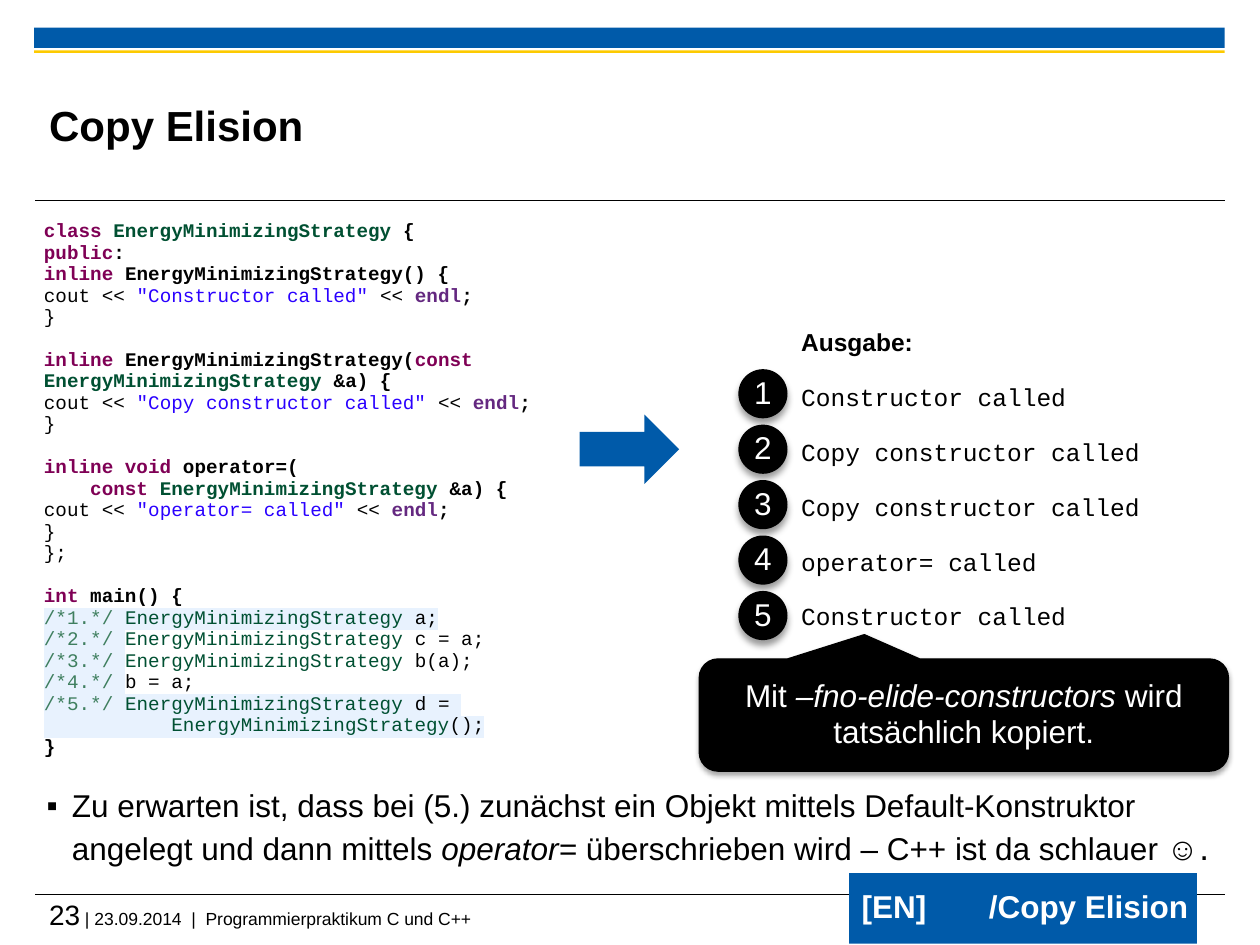
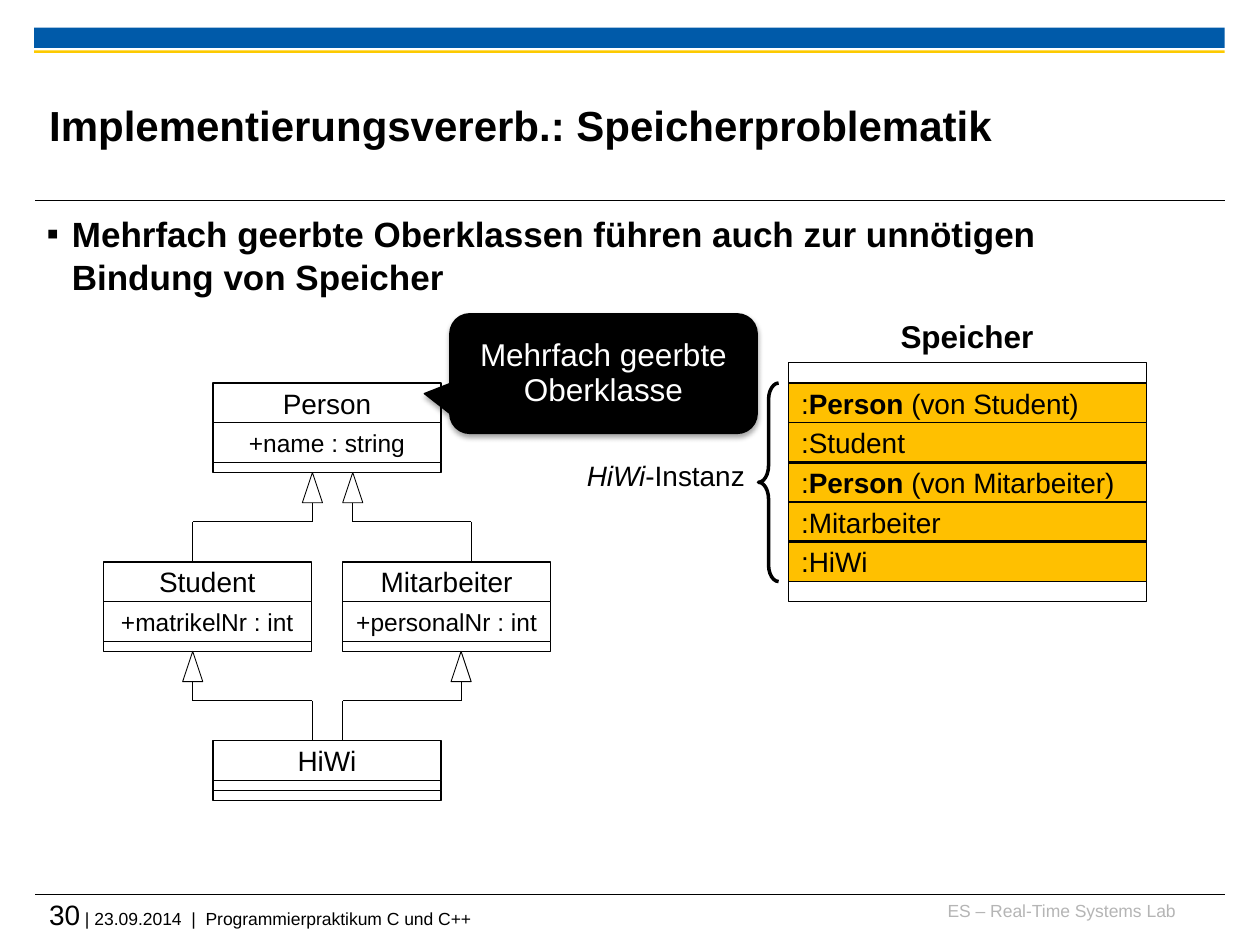
import pptx
import pptx.util
import pptx.dml.color
import pptx.enum.shapes
import pptx.enum.text
import pptx.oxml.ns
from lxml import etree

Inches = pptx.util.Inches
Pt = pptx.util.Pt
SHAPE = pptx.enum.shapes.MSO_SHAPE
ALIGN = pptx.enum.text.PP_ALIGN
ANCHOR = pptx.enum.text.MSO_ANCHOR
qn = pptx.oxml.ns.qn

BLUE, YELLOW, AMBER = "005AA9", "FDCA00", "FFC000"
BLACK, WHITE, GREY = "000000", "FFFFFF", "B5B5B5"
CODE_MARK = "E8F2FE"
TIGHT = 0.93
CLASS_NAME = "EnergyMinimizingStrategy"
ROW = 0.315
THIN_ROW = 0.08

BOLD = {"bold": True}
ITALIC = {"italic": True}
KEYWORD = {"color": "7F0055", "bold": True}
TYPE = {"color": "005032"}
TYPE_BOLD = {**TYPE, **BOLD}
STRING = {"color": "2A00FF"}
ENDL = {"color": "642880", "bold": True}
MARKED = {"highlight": CODE_MARK}
TYPE_MARKED = {**TYPE, **MARKED}
COMMENT = {"color": "3F7F5F", **MARKED}


def rgb(color):
    """Turn a hex string into a colour."""
    return pptx.dml.color.RGBColor.from_string(color)


def format_run(run, size, font="Arial", color=BLACK, bold=False, italic=False, highlight=None):
    """Format one run."""
    run.font.size = Pt(size)
    run.font.name = font
    run.font.bold = bold
    run.font.italic = italic
    run.font.color.rgb = rgb(color)
    if highlight:
        fill = run.font.fill._xPr.find(qn("a:solidFill"))
        mark = etree.Element(qn("a:highlight"))
        etree.SubElement(mark, qn("a:srgbClr"), val=highlight)
        fill.addnext(mark)


def write(paragraph, segments, align=ALIGN.LEFT, spacing=1.0, before=0, **style):
    """Write a string or (text, style) segments into a paragraph."""
    paragraph.alignment = align
    paragraph.line_spacing = spacing
    paragraph.space_before = Pt(before)
    if isinstance(segments, str):
        segments = [(segments, {})]
    for text, own_style in segments:
        run = paragraph.add_run()
        run.text = text
        format_run(run, **{**style, **own_style})


def set_insets(frame, size=0):
    """Give a text frame equal insets."""
    frame.margin_left = frame.margin_right = Inches(size)
    frame.margin_top = frame.margin_bottom = Inches(size)


def add_label(slide, box, segments, wrap=True, **style):
    """Add a text box with one paragraph."""
    shape = slide.shapes.add_textbox(*map(Inches, box))
    shape.text_frame.word_wrap = wrap
    write(shape.text_frame.paragraphs[0], segments, **style)
    return shape


def add_box(slide, kind, box, fill=WHITE, line=BLACK, width=0.75):
    """Add a preset shape without a shadow."""
    shape = slide.shapes.add_shape(kind, *map(Inches, box))
    shape.shadow.inherit = False
    if fill:
        shape.fill.solid()
        shape.fill.fore_color.rgb = rgb(fill)
    else:
        shape.fill.background()
    if line:
        shape.line.color.rgb = rgb(line)
        shape.line.width = Pt(width)
    else:
        shape.line.fill.background()
    return shape


def add_text_box(slide, kind, box, segments, fill=WHITE, line=BLACK, wrap=False, **style):
    """Add a preset shape with a vertically centred paragraph."""
    shape = add_box(slide, kind, box, fill, line)
    shape.text_frame.word_wrap = wrap
    shape.text_frame.vertical_anchor = ANCHOR.MIDDLE
    write(shape.text_frame.paragraphs[0], segments, **style)
    return shape


def add_line(slide, x1, y1, x2, y2, width=0.75):
    """Add a straight black line."""
    connector = slide.shapes.add_connector(
        pptx.enum.shapes.MSO_CONNECTOR.STRAIGHT, *map(Inches, (x1, y1, x2, y2)))
    connector.line.color.rgb = rgb(BLACK)
    connector.line.width = Pt(width)
    etree.SubElement(connector._element.spPr, qn("a:effectLst"))


def add_shadow(shape, alpha, blur, distance):
    """Drop a soft black shadow below a shape."""
    effects = shape._element.spPr.find(qn("a:effectLst"))
    shadow = etree.SubElement(effects, qn("a:outerShdw"), blurRad=str(Pt(blur)),
                              dist=str(Pt(distance)), dir="5400000", rotWithShape="0")
    color = etree.SubElement(shadow, qn("a:srgbClr"), val=BLACK)
    etree.SubElement(color, qn("a:alpha"), val=str(alpha * 1000))


def add_callout(slide, box, pointer, segments):
    """Add a black speech bubble with its pointer at the given offset."""
    shape = add_text_box(slide, SHAPE.ROUNDED_RECTANGULAR_CALLOUT, box, segments, BLACK,
                         wrap=True, align=ALIGN.CENTER, spacing=TIGHT, size=18, color=WHITE)
    for index, value in enumerate((*pointer, 0.167)):
        shape.adjustments[index] = value
    add_shadow(shape, 35, 3.1, 1.8)


def place(shape, box):
    """Move a placeholder to a box."""
    shape.left, shape.top, shape.width, shape.height = map(Inches, box)


def add_base_slide(presentation, title, number):
    """Add a slide with bands, rules, title and footer."""
    slide = presentation.slides.add_slide(presentation.slide_layouts[1])
    add_box(slide, SHAPE.RECTANGLE, (0.27, 0.22, 9.45, 0.16), BLUE, None)
    add_box(slide, SHAPE.RECTANGLE, (0.27, 0.4, 9.45, 0.02), YELLOW, None)
    for y in (1.59, 7.1):
        add_line(slide, 0.28, y, 9.72, y, 0.6)
    footer = add_label(slide, (0.39, 7.12, 9.33, 0.33),
                       [(number, {"size": 16}),
                        (" | 23.09.2014  |  Programmierpraktikum C und C++", {})], size=10)
    set_insets(footer.text_frame)
    heading = slide.shapes.title
    place(heading, (0.39, 0.53, 7.52, 0.92))
    set_insets(heading.text_frame)
    heading.text_frame.auto_size = pptx.enum.text.MSO_AUTO_SIZE.NONE
    heading.text_frame.vertical_anchor = ANCHOR.MIDDLE
    write(heading.text_frame.paragraphs[0], title, size=24, bold=True)
    return slide


def fill_body(slide, box, segments, **style):
    """Fill the body placeholder with one bulleted paragraph."""
    body = slide.placeholders[1]
    place(body, box)
    body.text_frame.auto_size = pptx.enum.text.MSO_AUTO_SIZE.NONE
    paragraph = body.text_frame.paragraphs[0]
    write(paragraph, segments, spacing=1.04, before=4, **style)
    properties = paragraph._p.get_or_add_pPr()
    properties.set("marL", str(Inches(0.2)))
    properties.set("indent", str(-Inches(0.2)))
    etree.SubElement(properties, qn("a:buChar"), char="▪")


def print_line(message):
    """Return the code segments that print a message."""
    return [("cout << ", {}), (f'"{message}"', STRING), (" << ", {}), ("endl", ENDL), (";", BOLD)]


def add_code(slide, box):
    """Add the class listing, with a gap before each block."""
    blocks = [
        [[("class ", KEYWORD), (CLASS_NAME, TYPE_BOLD), (" {", BOLD)],
         [("public", KEYWORD), (":", BOLD)],
         [("inline ", KEYWORD), (CLASS_NAME + "() {", BOLD)],
         print_line("Constructor called"), "}"],
        [[("inline ", KEYWORD), (CLASS_NAME + "(", BOLD), ("const ", KEYWORD),
          (CLASS_NAME, TYPE_BOLD), (" &a) {", BOLD)],
         print_line("Copy constructor called"), "}"],
        [[("inline void", KEYWORD), (" operator=(", BOLD)],
         [("    const ", KEYWORD), (CLASS_NAME, TYPE_BOLD), (" &a) {", BOLD)],
         print_line("operator= called"), "}", "};"],
        [[("int", KEYWORD), (" main() {", BOLD)],
         [("/*1.*/ ", COMMENT), (CLASS_NAME, TYPE_MARKED), (" a;", MARKED)],
         [("/*2.*/ ", COMMENT), (CLASS_NAME + " ", TYPE), ("c = a;", {})],
         [("/*3.*/ ", COMMENT), (CLASS_NAME + " ", TYPE), ("b(a);", {})],
         [("/*4.*/ ", COMMENT), ("b = a;", {})],
         [("/*5.*/ ", COMMENT), (CLASS_NAME, TYPE_MARKED), (" d = ", MARKED)],
         [("           ", MARKED), (CLASS_NAME, TYPE_MARKED), ("();", MARKED)],
         [("}", BOLD)]],
    ]
    frame = slide.shapes.add_textbox(*map(Inches, box)).text_frame
    frame.word_wrap = True
    for block_index, block in enumerate(blocks):
        for line_index, line in enumerate(block):
            first = line_index == 0
            paragraph = frame.add_paragraph() if block_index or line_index else frame.paragraphs[0]
            write(paragraph, line, spacing=TIGHT, before=12.3 if first and block_index else 0,
                  size=11, font="Courier New")


def add_output(slide, left, top):
    """Add the program output with numbered discs beside it."""
    frame = slide.shapes.add_textbox(*map(Inches, (left + 0.4, top, 3.31, 2.51))).text_frame
    frame.word_wrap = True
    write(frame.paragraphs[0], "Ausgabe:", spacing=TIGHT, size=14, bold=True)
    messages = ["Constructor called", "Copy constructor called", "Copy constructor called",
                "operator= called", "Constructor called"]
    for index, message in enumerate(messages):
        write(frame.add_paragraph(), message, spacing=TIGHT, before=15.7,
              size=14, font="Courier New")
        disc = add_text_box(slide, SHAPE.OVAL, (left, top + 0.36 + 0.44 * index, 0.39, 0.39),
                            str(index + 1), BLACK, None, align=ALIGN.CENTER, spacing=TIGHT,
                            size=18, color=WHITE)
        add_shadow(disc, 40, 4, 3)


def add_reference(slide, left, top):
    """Add the blue reference box over the footer."""
    add_box(slide, SHAPE.RECTANGLE, (left, top, 2.76, 0.56), BLUE, None)
    for offset, width, text in ((0, 0.72, "[EN]"), (1.01, 1.8, "/Copy Elision")):
        add_label(slide, (left + offset, top + 0.09, width, 0.38), text, wrap=False,
                  spacing=TIGHT, size=18, color=WHITE, bold=True)


def add_uml_class(slide, left, top, width, name, attribute=None):
    """Add a class with name, attribute and operation compartments."""
    rows = [(name, ROW, 16), (attribute, ROW if attribute else THIN_ROW, 14), (None, THIN_ROW, 14)]
    for text, height, size in rows:
        add_text_box(slide, SHAPE.RECTANGLE, (left, top, width, height), text or [],
                     align=ALIGN.CENTER, size=size)
        top += height


def add_generalization(slide, parent_x, top, child_x):
    """Add an inheritance arrow from a child up to its parent."""
    add_box(slide, SHAPE.ISOSCELES_TRIANGLE, (parent_x - 0.08, top, 0.16, 0.24), width=0.5)
    elbow = top + 0.39
    add_line(slide, parent_x, top + 0.24, parent_x, elbow, 0.5)
    add_line(slide, parent_x, elbow, child_x, elbow)
    add_line(slide, child_x, elbow, child_x, top + 0.71)


def add_memory(slide, left, top, width):
    """Add the memory column with its caption and brace."""
    rows = [[(":", {}), ("Person", BOLD), (" (von Student)", {})], ":Student",
            [(":", {}), ("Person", BOLD), (" (von Mitarbeiter)", {})], ":Mitarbeiter", ":HiWi"]
    first = top + 0.16
    bottom = first + ROW * len(rows)
    for y in (top, bottom):
        add_box(slide, SHAPE.RECTANGLE, (left, y, width, 0.16))
    for index, row in enumerate(rows):
        add_text_box(slide, SHAPE.RECTANGLE, (left, first + ROW * index, width, ROW), row,
                     AMBER, wrap=True, size=16)
    for index in (2, 4):
        y = first + ROW * index
        add_line(slide, left, y, left + width, y, 1.5)
    brace = add_box(slide, SHAPE.LEFT_BRACE, (left - 0.24, first, 0.16, bottom - first), None,
                    width=2)
    brace.adjustments[0] = 0.832
    add_label(slide, (left - 1.72, first + 0.55, 1.47, 0.37),
              [("HiWi", ITALIC), ("-Instanz", {})], wrap=False, align=ALIGN.RIGHT, size=16)
    add_label(slide, (left + 0.78, top - 0.39, 1.27, 0.38), "Speicher", wrap=False,
              align=ALIGN.CENTER, spacing=TIGHT, size=18, bold=True)


def build_copy_elision(presentation):
    """Build the copy elision slide."""
    slide = add_base_slide(presentation, "Copy Elision", "23")
    fill_body(slide, (0.27, 6.18, 9.45, 0.88), [
        ("Zu erwarten ist, dass bei (5.) zunächst ein Objekt mittels Default-Konstruktor "
         "angelegt und dann mittels ", {}), ("operator=", ITALIC),
        (" überschrieben wird – C++ ist da schlauer ☺", {}), (".", {"size": 20})], size=18)
    add_code(slide, (0.25, 1.7, 4.52, 4.37))
    add_box(slide, SHAPE.RIGHT_ARROW, (4.6, 3.29, 0.79, 0.55), BLUE, None)
    add_output(slide, 5.86, 2.57)
    add_callout(slide, (5.55, 5.23, 4.2, 0.89), (-0.188, -0.717),
                [("Mit ", {}), ("–fno-elide-constructors", ITALIC),
                 (" wird tatsächlich kopiert.", {})])
    add_reference(slide, 6.74, 6.93)


def build_memory_problem(presentation):
    """Build the multiple inheritance slide."""
    slide = add_base_slide(presentation, "Implementierungsvererb.: Speicherproblematik", "30")
    lab = add_label(slide, (7.36, 7.14, 1.97, 0.25), "ES – Real-Time Systems Lab",
                    align=ALIGN.RIGHT, size=10, color=GREY)
    set_insets(lab.text_frame)
    fill_body(slide, (0.27, 1.62, 8.43, 0.95),
              "Mehrfach geerbte Oberklassen führen auch zur unnötigen Bindung von Speicher",
              size=20, bold=True)
    add_uml_class(slide, 1.69, 3.04, 1.81, "Person", "+name : string")
    add_uml_class(slide, 0.82, 4.46, 1.65, "Student", "+matrikelNr : int")
    add_uml_class(slide, 2.72, 4.46, 1.65, "Mitarbeiter", "+personalNr : int")
    add_uml_class(slide, 1.69, 5.88, 1.81, "HiWi")
    for parent_x, top, child_x in ((2.48, 3.75, 1.53), (2.8, 3.75, 3.74),
                                   (1.53, 5.17, 2.48), (3.66, 5.17, 2.72)):
        add_generalization(slide, parent_x, top, child_x)
    add_memory(slide, 6.26, 2.88, 2.84)
    add_callout(slide, (3.57, 2.49, 2.44, 0.95), (-0.583, 0.167), "Mehrfach geerbte Oberklasse")


def main():
    """Build and save the presentation."""
    presentation = pptx.Presentation()
    presentation.slide_width = Inches(10)
    presentation.slide_height = Inches(7.5)
    build_copy_elision(presentation)
    build_memory_problem(presentation)
    presentation.save("out.pptx")


if __name__ == "__main__":
    main()
